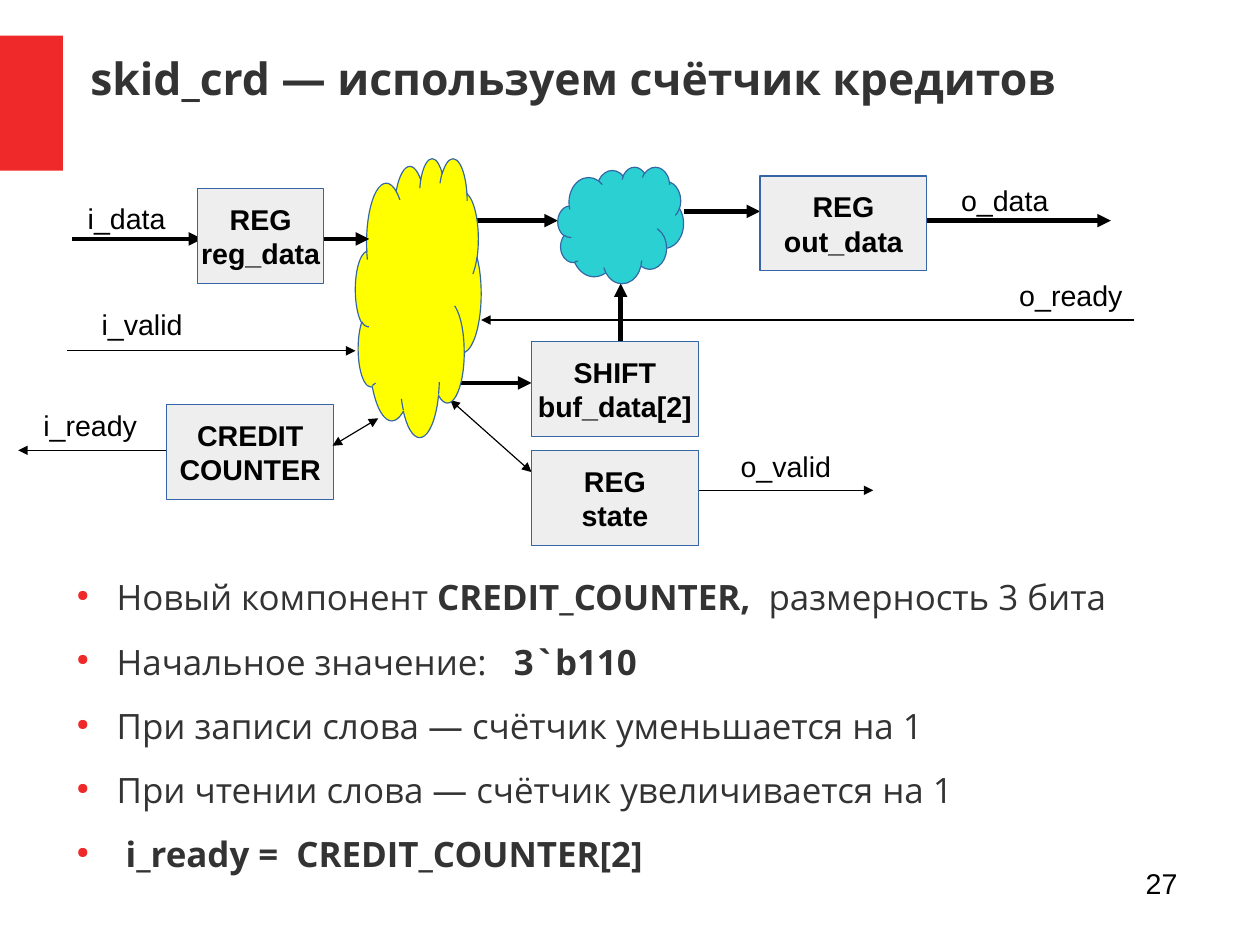
from lxml.etree import SubElement as Sub
from pptx import Presentation
from pptx.dml.color import RGBColor
from pptx.enum.shapes import MSO_CONNECTOR as Link, MSO_SHAPE as Form
from pptx.enum.text import MSO_ANCHOR as Anchor, MSO_AUTO_SIZE as Fit, PP_ALIGN as Align
from pptx.oxml.ns import qn
from pptx.util import Pt

RED = RGBColor(0xEF, 0x29, 0x29)
DARK = RGBColor(0x33, 0x33, 0x33)
BLACK = RGBColor(0, 0, 0)
GREY = RGBColor(0xEE, 0xEE, 0xEE)
BLUE = RGBColor(0x34, 0x65, 0xA4)
TEAL = RGBColor(0x2B, 0xD0, 0xD2)
YELLOW = RGBColor(0xFF, 0xFF, 0)


class Sheet:
    sans = "Open Sans"
    plain = "Arial"
    thin = 0.75
    thick = 2.83

    def __init__(self, slide):
        self.shapes = slide.shapes

    def style(self, para, face, size, color, bold=False):
        font = para.font
        font.name, font.size, font.bold = face, Pt(size), bold
        font.color.rgb = color

    def shape(self, form, x, y, w, h, fill, edge=None):
        item = self.shapes.add_shape(form, Pt(x), Pt(y), Pt(w), Pt(h))
        item.shadow.inherit = False
        item.fill.solid()
        item.fill.fore_color.rgb = fill
        if edge is None:
            item.line.fill.background()
        else:
            item.line.color.rgb = edge
            item.line.width = Pt(self.thin)
        return item

    def block(self, x, y, top, name, w=105.1):
        frame = self.shape(Form.RECTANGLE, x, y, w, 59.8, GREY, BLUE).text_frame
        frame.word_wrap = False
        frame.vertical_anchor = Anchor.MIDDLE
        frame.text = f"{top}\n{name}"
        for para in frame.paragraphs:
            para.alignment = Align.CENTER
            self.style(para, self.plain, 18, BLACK, True)

    def cloud(self, x, y, w, h, fill):
        self.shape(Form.CLOUD, x, y, w, h, fill, BLUE)

    def frame(self, x, y, w, h, inset=True):
        frame = self.shapes.add_textbox(Pt(x), Pt(y), Pt(w), Pt(h)).text_frame
        frame.word_wrap = True
        if not inset:
            frame.margin_left = frame.margin_right = 0
            frame.margin_top = frame.margin_bottom = 0
        return frame

    def label(self, x, y, w, h, text, align=Align.LEFT):
        para = self.frame(x, y, w, h).paragraphs[0]
        para.text = text
        para.alignment = align
        self.style(para, self.plain, 18, BLACK)

    def title(self, x, y, w, h, text):
        frame = self.frame(x, y, w, h, False)
        frame.vertical_anchor = Anchor.MIDDLE
        para = frame.paragraphs[0]
        para.text = text
        self.style(para, self.sans, 28, DARK, True)

    def arrow(self, x1, y1, x2, y2, width, both=False):
        item = self.shapes.add_connector(Link.STRAIGHT, Pt(x1), Pt(y1), Pt(x2), Pt(y2))
        item.line.color.rgb = BLACK
        item.line.width = Pt(width)
        props = item._element.spPr
        edge = props.find(qn("a:ln"))
        for end in ("a:headEnd", "a:tailEnd") if both else ("a:tailEnd",):
            Sub(edge, qn(end), type="triangle")
        Sub(props, qn("a:effectLst"))

    def bullet(self, para):
        props = para._p.get_or_add_pPr()
        props.set("marL", str(Pt(33.8)))
        props.set("indent", str(Pt(-25.2)))
        Sub(Sub(props, qn("a:buClr")), qn("a:srgbClr"), val=str(RED))
        Sub(props, qn("a:buSzPct"), val="45000")
        Sub(props, qn("a:buChar"), char="●")

    def points(self, x, y, w, h, rows):
        frame = self.frame(x, y, w, h, False)
        frame.auto_size = Fit.TEXT_TO_FIT_SHAPE
        for i, row in enumerate(rows):
            para = frame.add_paragraph() if i else frame.paragraphs[0]
            self.bullet(para)
            para.space_after = Pt(14.1)
            self.style(para, self.sans, 22, DARK)
            for text, bold in row:
                run = para.add_run()
                run.text = text
                run.font.bold = bold


def main():
    deck = Presentation()
    deck.slide_width, deck.slide_height = Pt(793.7), Pt(595.3)
    sheet = Sheet(deck.slides.add_slide(deck.slide_layouts[6]))
    thin, thick = sheet.thin, sheet.thick

    sheet.shape(Form.RECTANGLE, 0, 22.5, 39.7, 85, RED)
    sheet.title(56.9, 10.8, 697, 76.3, "skid_crd — используем счётчик кредитов")
    sheet.points(39.7, 362.9, 742.3, 193, [
        [("Новый компонент ", False), ("CREDIT_COUNTER, ", True), (" размерность 3 бита", False)],
        [("Начальное значение:   ", False), ("3`b110", True)],
        [("При записи слова — счётчик уменьшается на 1", False)],
        [("При чтении слова — счётчик увеличивается на 1", False)],
        [(" ", False), ("i_ready =  CREDIT_COUNTER[2]", True)],
    ])

    for line in [
        (42.5, 221, 223.9, 221, thin),
        (105.1, 283.7, 11.5, 283.7, thin),
        (45.4, 150.5, 127.4, 150.5, thick),
        (439.2, 308.9, 550.1, 308.9, thin),
        (714.2, 201.6, 303.1, 201.6, thin),
        (583.9, 139, 699.8, 139, thick),
        (283.7, 139, 351.4, 139, thick),
        (430.6, 133.2, 478.8, 133.2, thick),
        (391, 215.3, 391, 178.6, thick),
        (266.4, 241.2, 334.8, 241.2, thick),
        (283.7, 252, 334.8, 297.4, thin, True),
    ]:
        sheet.arrow(*line)

    for note in [
        (56.9, 190.1, 70.6, 28, "i_valid"),
        (20.2, 253.4, 79.2, 46.8, "i_ready"),
        (48.2, 123.1, 67.7, 27.4, "i_data"),
        (459.4, 279.4, 87.8, 46.8, "o_valid"),
        (635, 171.4, 79.2, 46.8, "o_ready"),
        (598.3, 111.6, 93.6, 33.1, "o_data"),
    ]:
        sheet.label(*note)

    sheet.block(478.8, 110.9, "REG", "out_data")
    sheet.block(334.8, 215.3, "SHIFT", "buf_data[2]")
    sheet.block(334.8, 283.7, "REG", "state")
    sheet.block(124.6, 118.8, "REG", "reg_data", 79.2)
    sheet.block(105.1, 254.9, "CREDIT", "COUNTER")
    sheet.cloud(351.4, 105.1, 79.2, 73.4, TEAL)
    sheet.cloud(223.9, 99.4, 79.2, 175.7, YELLOW)
    sheet.arrow(209.5, 280.8, 238.3, 263.5, thin, True)
    sheet.arrow(203.8, 150.5, 232.6, 150.5, thick)
    sheet.label(568.8, 542.2, 180, 41, "27", Align.RIGHT)

    deck.save("out.pptx")


if __name__ == "__main__":
    main()
